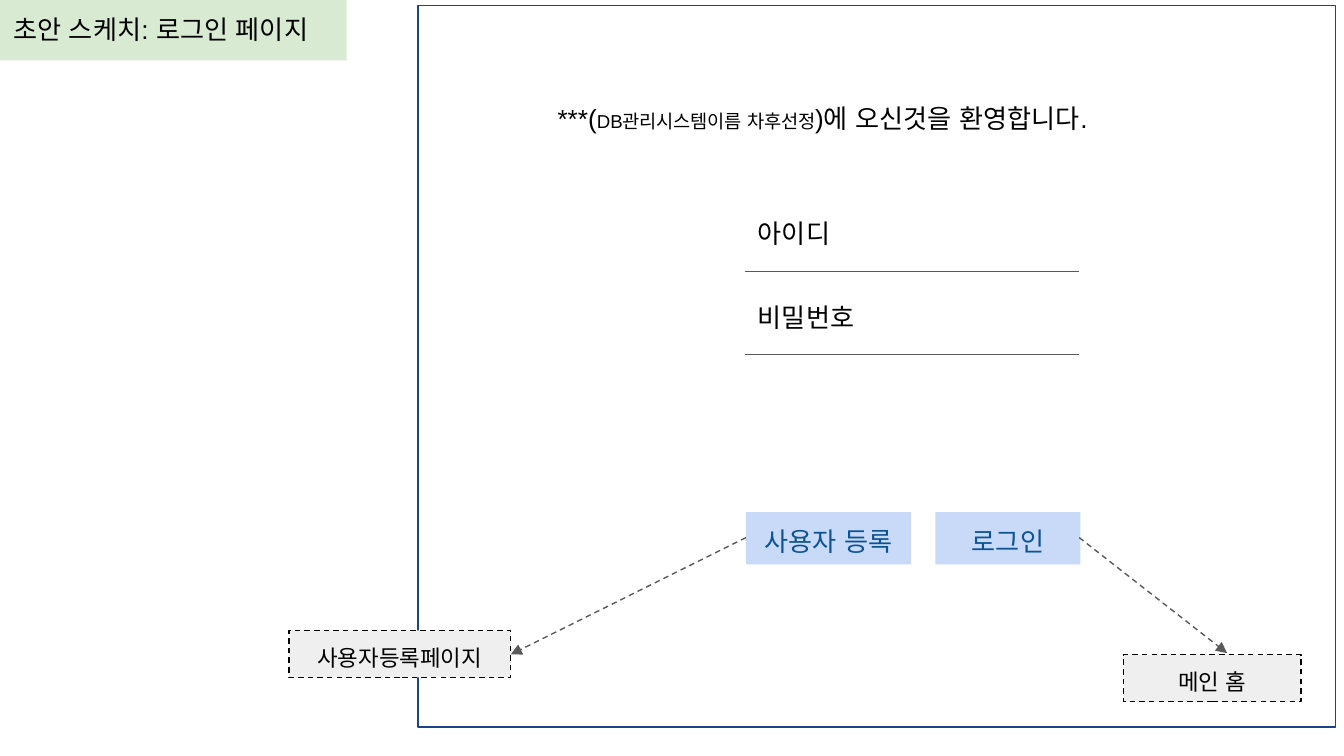
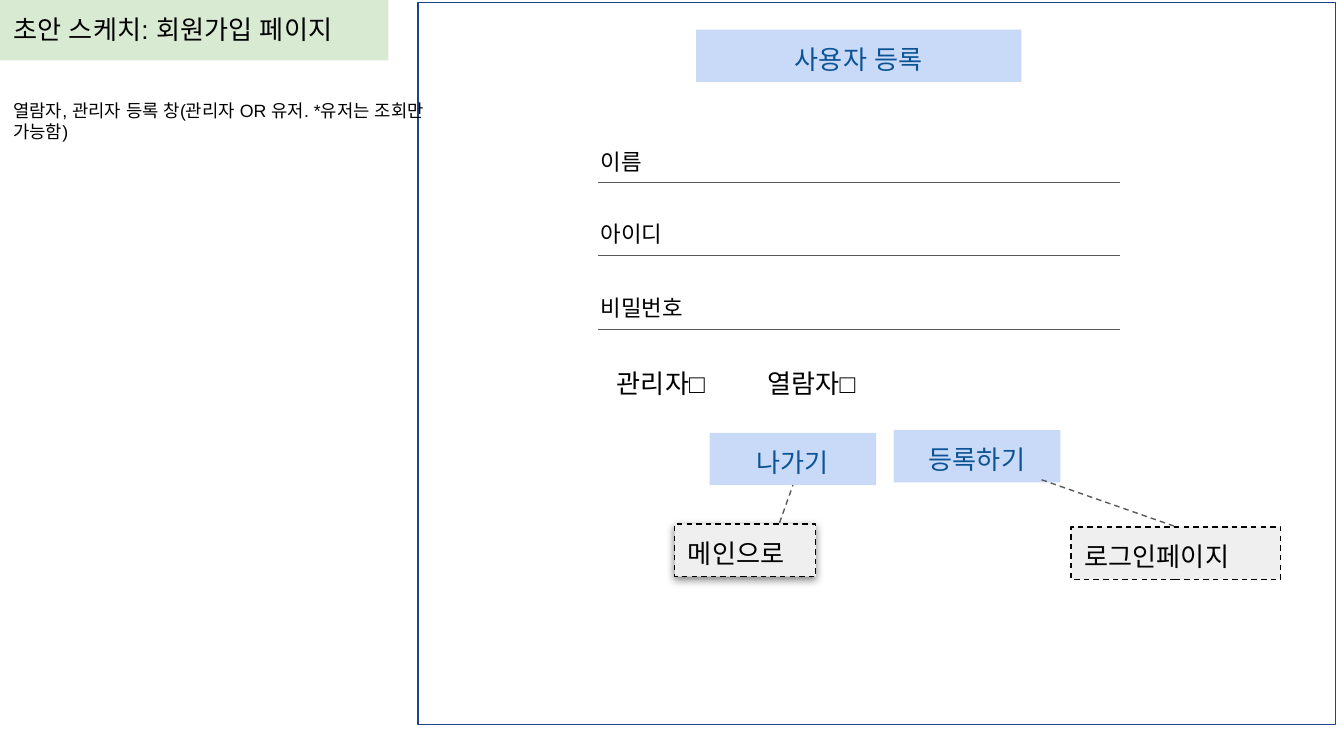
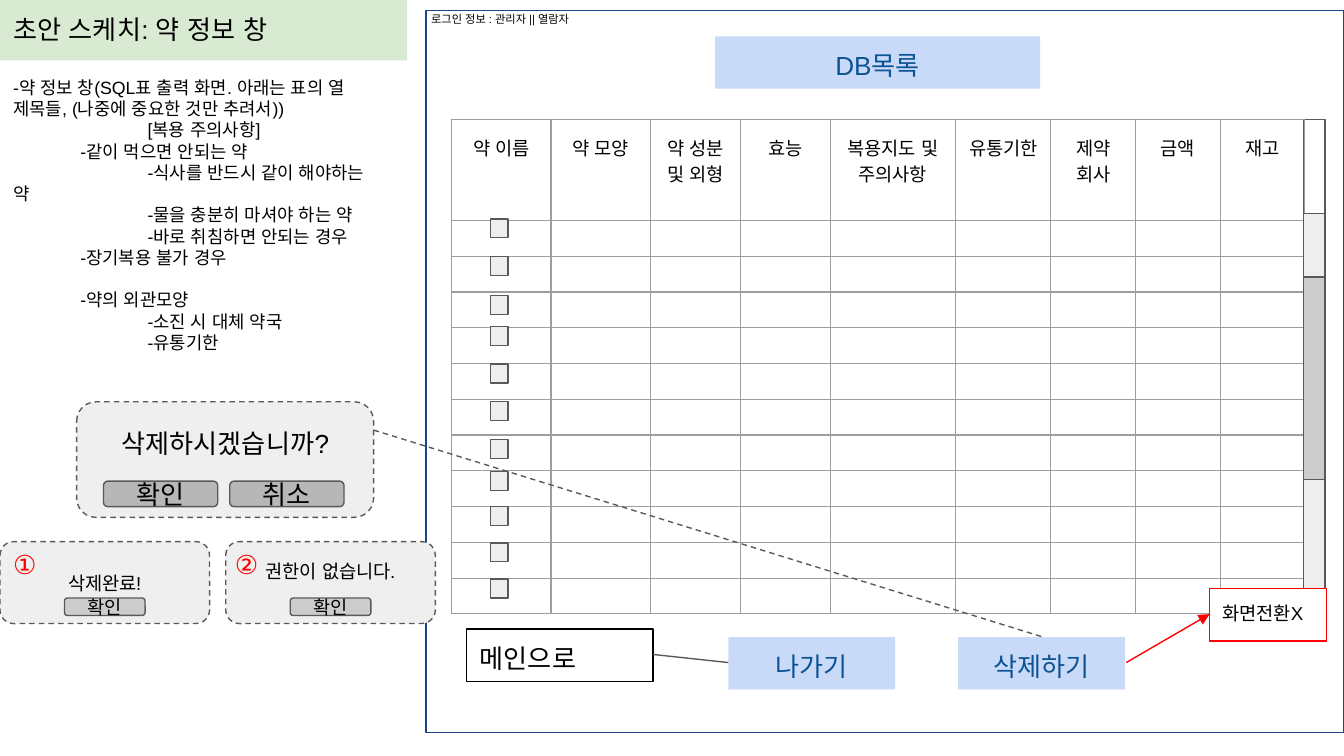
from dataclasses import dataclass

from lxml.etree import SubElement
from pptx import Presentation
from pptx.dml.color import RGBColor
from pptx.enum.dml import MSO_LINE
from pptx.enum.lang import MSO_LANGUAGE_ID as Language
from pptx.enum.shapes import MSO_CONNECTOR, MSO_SHAPE
from pptx.enum.text import MSO_ANCHOR as Anchor, PP_ALIGN as Align
from pptx.oxml.ns import qn
from pptx.util import Inches, Pt


@dataclass(frozen=True)
class Theme:
    """Colours, type sizes and measures shared by all slides."""
    font: str = "Arial"
    black: str = "000000"
    white: str = "FFFFFF"
    frame: str = "1C4587"
    title_band: str = "D9EAD3"
    button: str = "C9DAF8"
    button_text: str = "0B5394"
    target: str = "EFEFEF"
    box: str = "EEEEEE"
    gray: str = "CCCCCC"
    dark_gray: str = "B7B7B7"
    rule: str = "595959"
    grid: str = "9E9E9E"
    red: str = "FF0000"
    body: float = 14
    label: float = 12
    small: float = 10
    note: float = 9.5
    tiny: float = 6
    line_width: float = 0.75
    inset: float = 0.1
    button_height: float = 0.39


@dataclass(frozen=True)
class Box:
    """A rectangle in inches."""
    left: float
    top: float
    width: float
    height: float

    def inner(self, left, top, width, height):
        """Return a box placed relative to this one."""
        return Box(self.left + left, self.top + top, width, height)

    def point(self, left, top):
        """Return a point placed relative to this box."""
        return self.left + left, self.top + top

    def lengths(self):
        """Return left, top, width and height as lengths."""
        return [Inches(value) for value in (self.left, self.top, self.width, self.height)]


THEME = Theme()
SCREEN_SIZE = (6.83, 5.37)


def color(value):
    """Turn a hex string into a colour."""
    return RGBColor.from_string(value)


def add_run(paragraph, text, size, ink):
    """Add a run in the theme font, for Latin and Korean letters alike."""
    run = paragraph.add_run()
    run.text = text
    run.font.color.rgb = color(ink)
    settings = {"name": THEME.font, "size": Pt(size), "language_id": Language.KOREAN}
    for name, value in settings.items():
        setattr(run.font, name, value)
    for tag in ("a:ea", "a:cs"):
        SubElement(run.font._element, qn(tag)).set("typeface", THEME.font)


def write(shape, runs, align=Align.LEFT, anchor=Anchor.TOP, bottom=THEME.inset):
    """Write one paragraph of (text, size, ink) runs into a shape."""
    frame = shape.text_frame
    inset = Inches(THEME.inset)
    settings = {"word_wrap": True, "vertical_anchor": anchor, "margin_left": inset,
                "margin_right": inset, "margin_top": inset, "margin_bottom": Inches(bottom)}
    for name, value in settings.items():
        setattr(frame, name, value)
    paragraph = frame.paragraphs[0]
    paragraph.alignment = align
    for run in runs:
        add_run(paragraph, *run)


def add_text(slide, box, text, size=THEME.body, ink=THEME.black):
    """Add a wrapping text box."""
    shape = slide.shapes.add_textbox(*box.lengths())
    write(shape, [(text, size, ink)])
    return shape


def style_line(line, ink, dashed=False):
    """Give a line the theme width, a colour and maybe dashes."""
    line.color.rgb = color(ink)
    line.width = Pt(THEME.line_width)
    if dashed:
        line.dash_style = MSO_LINE.DASH


def add_box(slide, box, fill=None, line=None, dashed=False, kind=MSO_SHAPE.RECTANGLE):
    """Add a flat preset shape."""
    shape = slide.shapes.add_shape(kind, *box.lengths())
    shape.shadow.inherit = False
    if fill:
        shape.fill.solid()
        shape.fill.fore_color.rgb = color(fill)
    else:
        shape.fill.background()
    if line:
        style_line(shape.line, line, dashed)
    else:
        shape.line.fill.background()
    return shape


def add_line(slide, start, end, ink=THEME.rule, dashed=False, arrow=False):
    """Add a straight connector, with an arrowhead at its end if asked."""
    ends = [Inches(value) for value in (*start, *end)]
    connector = slide.shapes.add_connector(MSO_CONNECTOR.STRAIGHT, *ends)
    style_line(connector.line, ink, dashed)
    if arrow:
        SubElement(connector.line._get_or_add_ln(), qn("a:tailEnd")).set("type", "triangle")
    SubElement(connector._element.spPr, qn("a:effectLst"))


def add_button(slide, box, text):
    """Add a blue button with a centred label."""
    shape = add_box(slide, box, THEME.button)
    write(shape, [(text, THEME.body, THEME.button_text)], Align.CENTER)


def add_target(slide, box, text, size=THEME.body, align=Align.LEFT):
    """Add the dashed box that names the page a button leads to."""
    shape = add_box(slide, box, THEME.target, THEME.black, dashed=True)
    write(shape, [(text, size, THEME.black)], align)
    return shape


def add_soft_shadow(shape):
    """Put a soft shadow below a shape."""
    effects = shape._element.spPr.find(qn("a:effectLst"))
    shadow = SubElement(effects, qn("a:outerShdw"), blurRad=str(Pt(4.5)), dist=str(Pt(1.5)),
                        dir="5400000", algn="bl", rotWithShape="0")
    ink = SubElement(shadow, qn("a:srgbClr"), val=THEME.black)
    SubElement(ink, qn("a:alpha"), val="50000")


def add_field(slide, box, text, size, label_width, label_height, label_shift=0):
    """Add an input field: a label above a rule on the lower edge of the box."""
    add_line(slide, box.point(0, box.height), box.point(box.width, box.height))
    add_text(slide, box.inner(label_shift, 0, label_width, label_height), text, size)


def add_page(presentation, title, band_width, screen):
    """Add a slide with its screen frame and title band."""
    slide = presentation.slides.add_slide(presentation.slide_layouts[6])
    add_box(slide, screen, line=THEME.frame)
    band = add_box(slide, Box(0, 0, band_width, 0.45), THEME.title_band)
    write(band, [(f"초안 스케치: {title}", THEME.body, THEME.black)])
    return slide


def fill_login(slide, screen):
    """Draw the login screen."""
    height = THEME.button_height
    add_button(slide, screen.inner(2.44, 3.77, 1.23, height), "사용자 등록")
    for top, text in ((1.48, "아이디"), (2.1, "비밀번호")):
        add_field(slide, screen.inner(2.43, top, 2.49, 0.5), text, THEME.body, 1.06, 0.35)
    add_button(slide, screen.inner(3.85, 3.77, 1.08, height), "로그인")
    pages = ((-0.96, 4.65, 1.65, "사용자등록페이지", (2.44, 3.96), (0.69, 4.83)),
             (5.25, 4.83, 1.32, "메인 홈", (4.92, 3.96), (6.02, 4.82)))
    for left, top, width, text, start, end in pages:
        add_target(slide, screen.inner(left, top, width, 0.35), text, THEME.label, Align.CENTER)
        add_line(slide, screen.point(*start), screen.point(*end), dashed=True, arrow=True)
    welcome = slide.shapes.add_textbox(*screen.inner(0.94, 0.62, 5.35, 0.45).lengths())
    write(welcome, [("***(", THEME.body, THEME.black),
                    ("DB관리시스템이름 차후선정", THEME.small, THEME.black),
                    (")에 오신것을 환영합니다.", THEME.body, THEME.black)])


def fill_sign_up(slide, screen):
    """Draw the sign-up screen."""
    height = THEME.button_height
    add_button(slide, screen.inner(2.07, 0.2, 2.42, height), "사용자 등록")
    for top, text, width in ((0.98, "이름", 0.55), (1.52, "아이디", 1.63), (2.07, "비밀번호", 0.89)):
        add_field(slide, screen.inner(1.34, top, 3.88, 0.36), text, THEME.label, width, 0.33, -0.08)
    for left, role in ((1.38, "관리자"), (2.5, "열람자")):
        add_text(slide, screen.inner(left, 2.61, 0.91, height), f"{role}□")
    add_button(slide, screen.inner(3.54, 3.18, 1.24, height), "등록하기")
    add_button(slide, screen.inner(2.17, 3.2, 1.24, height), "나가기")
    add_line(slide, screen.point(2.69, 3.87), screen.point(2.79, 3.59), dashed=True)
    add_soft_shadow(add_target(slide, screen.inner(1.91, 3.88, 1.05, height), "메인으로"))
    add_target(slide, screen.inner(4.86, 3.9, 1.56, height), "로그인페이지")
    add_line(slide, screen.point(4.64, 3.55), screen.point(5.64, 3.9), dashed=True)


def add_outline_notes(slide, box):
    """List the planned table headings, each with its first-line indent and space before."""
    lines = (("-약 정보 창(SQL표 출력 화면. 아래는 표의 열 제목들, (나중에 중요한 것만 추려서))", 0, 0),
             ("[복용 주의사항]", 1, 0),
             ("-같이 먹으면 안되는 약", 0.5, 0),
             ("-식사를 반드시 같이 해야하는 약", 1, 0),
             ("-물을 충분히 마셔야 하는 약", 1, 0),
             ("-바로 취침하면 안되는 경우", 1, 0),
             ("-장기복용 불가 경우", 0.5, 0),
             ("-약의 외관모양", 0.5, 11.4),
             ("-소진 시 대체 약국", 1, 0),
             ("-유통기한", 1, 0))
    shape = add_text(slide, box, lines[0][0], THEME.note)
    for text, indent, space in lines[1:]:
        paragraph = shape.text_frame.add_paragraph()
        paragraph.space_before = Pt(space)
        properties = paragraph._p.get_or_add_pPr()
        properties.set("marL", "0")
        properties.set("indent", str(Inches(indent)))
        add_run(paragraph, text, THEME.note, THEME.black)


def style_cell(cell):
    """Clear a cell's fill and draw its four borders."""
    properties = cell._tc.get_or_add_tcPr()
    for side in ("L", "R", "T", "B"):
        border = SubElement(properties, qn(f"a:ln{side}"), w=str(Pt(THEME.line_width)))
        fill = SubElement(border, qn("a:solidFill"))
        SubElement(fill, qn("a:srgbClr"), val=THEME.grid)
    cell.fill.background()
    for side in ("left", "right", "top", "bottom"):
        setattr(cell, f"margin_{side}", Inches(THEME.inset))


def add_medicine_table(slide, box):
    """Add the medicine list: a heading row and empty rows of equal height."""
    headings = ("약 이름", "약 모양", "약 성분 및 외형", "효능", "복용지도 및 주의사항",
                "유통기한", "제약 회사", "금액", "재고")
    widths = (0.74, 0.74, 0.67, 0.67, 0.93, 0.71, 0.63, 0.63, 0.63)
    empty_rows, heading_height = 11, 0.75
    table = slide.shapes.add_table(empty_rows + 1, len(headings), *box.lengths()).table
    table.first_row = table.horz_banding = False
    for column, width in zip(table.columns, widths):
        column.width = Inches(width)
    for index, row in enumerate(table.rows):
        row.height = Inches((box.height - heading_height) / empty_rows if index else heading_height)
        for cell, heading in zip(row.cells, headings):
            style_cell(cell)
            paragraph = cell.text_frame.paragraphs[0]
            if index:
                SubElement(paragraph._p, qn("a:endParaRPr"), sz="300")
            else:
                paragraph.alignment = Align.CENTER
                paragraph.line_spacing = 1.25
                add_run(paragraph, heading, THEME.small, THEME.black)


def add_round(slide, box, fill, text, size, dashed=False, bottom=THEME.inset):
    """Add a rounded box with centred text."""
    shape = add_box(slide, box, fill, THEME.rule, dashed, MSO_SHAPE.ROUNDED_RECTANGLE)
    write(shape, [(text, size, THEME.black)], Align.CENTER, Anchor.MIDDLE, bottom)


def add_delete_dialog(slide, box):
    """Ask whether to delete, with two answers."""
    add_round(slide, box, THEME.target, "삭제하시겠습니까?", THEME.body, True, 0.34)
    for left, text in ((0.2, "확인"), (1.14, "취소")):
        add_round(slide, box.inner(left, 0.59, 0.85, 0.19), THEME.dark_gray, text, THEME.body)


def add_result_dialog(slide, box, text, bottom, number, number_left):
    """Show one numbered outcome of the deletion."""
    add_round(slide, box, THEME.target, text, THEME.small, True, bottom)
    add_round(slide, box.inner(0.48, 0.42, 0.6, 0.13), THEME.gray, "확인", THEME.small)
    add_text(slide, box.inner(number_left, -0.05, 0.41, 0.53), number, THEME.body, THEME.red)


def fill_medicine(slide, screen):
    """Draw the medicine list screen."""
    height = THEME.button_height
    scroll_bar = screen.inner(6.53, 0.81, 0.16, 2.9)
    add_box(slide, scroll_bar, THEME.white, THEME.rule)
    add_medicine_table(slide, screen.inner(0.19, 0.81, 6.34, 3.68))
    add_button(slide, screen.inner(2.25, 4.66, 1.24, height), "나가기")
    add_button(slide, screen.inner(2.15, 0.19, 2.42, height), "DB목록")
    add_text(slide, screen.inner(-0.06, -0.04, 1.78, 0.24), "로그인 정보 : 관리자 || 열람자", THEME.tiny)
    add_button(slide, screen.inner(3.96, 4.66, 1.24, height), "삭제하기")
    for top in (1.55, 1.83, 2.12, 2.35, 2.63, 2.91, 3.19, 3.43, 3.69, 3.96, 4.23):
        add_box(slide, screen.inner(0.48, top, 0.13, 0.14), THEME.box, THEME.rule)
    add_line(slide, screen.point(5.21, 4.85), screen.point(5.83, 4.49), THEME.red, arrow=True)
    add_box(slide, scroll_bar.inner(0, 0.7, 0.16, 2.93), THEME.box, THEME.rule)
    add_box(slide, scroll_bar.inner(0, 1.17, 0.16, 1.51), THEME.gray, THEME.rule)
    remark = add_box(slide, screen.inner(5.83, 4.3, 0.87, height), THEME.white, THEME.red)
    write(remark, [("화면전환X", THEME.small, THEME.black)])
    target = add_box(slide, screen.inner(0.3, 4.6, 1.39, height), line=THEME.black)
    write(target, [("메인으로", THEME.body, THEME.black)])
    add_line(slide, screen.point(1.69, 4.79), screen.point(2.25, 4.85))


def build():
    """Build the three sketch slides and save them."""
    presentation = Presentation()
    presentation.slide_width = Inches(10)
    presentation.slide_height = presentation.slide_width * 9 // 16

    login_screen = Box(3.11, 0.04, *SCREEN_SIZE)
    fill_login(add_page(presentation, "로그인 페이지", 2.58, login_screen), login_screen)

    sign_up_screen = Box(3.11, 0.02, *SCREEN_SIZE)
    slide = add_page(presentation, "회원가입 페이지", 2.89, sign_up_screen)
    add_text(slide, Box(0, 0.64, 3.28, 0.45),
             "열람자, 관리자 등록 창(관리자 OR 유저. *유저는 조회만 가능함)", THEME.note)
    fill_sign_up(slide, sign_up_screen)

    medicine_screen = Box(3.17, 0.08, *SCREEN_SIZE)
    slide = add_page(presentation, "약 정보 창", 3.03, medicine_screen)
    add_outline_notes(slide, Box(0, 0.47, 2.84, 2.14))
    fill_medicine(slide, medicine_screen)
    add_delete_dialog(slide, Box(0.57, 2.99, 2.21, 0.86))
    add_result_dialog(slide, Box(1.68, 4.03, 1.56, 0.61), "권한이 없습니다.", 0.27, "②", -0.03)
    add_result_dialog(slide, Box(0, 4.03, 1.56, 0.61), "삭제완료!", THEME.inset, "①", 0)
    add_line(slide, (2.78, 3.2), medicine_screen.point(4.59, 4.66), dashed=True)

    presentation.save("out.pptx")


build()
